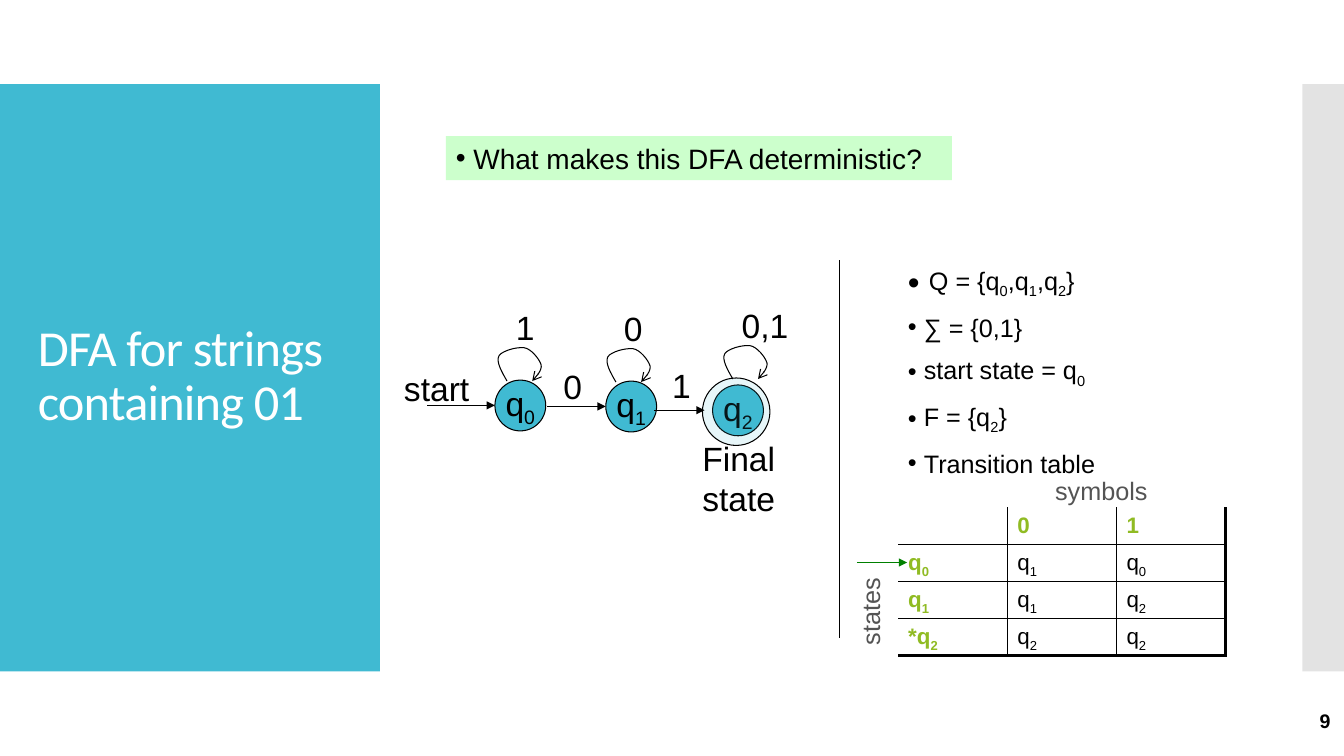
"""Builds a slide on a DFA that accepts strings containing 01."""
from lxml import etree
from pptx import Presentation
from pptx.dml.color import RGBColor
from pptx.enum import shapes, text
from pptx.oxml import ns
from pptx.util import Pt

BLACK = RGBColor(0, 0, 0)
WHITE = RGBColor(255, 255, 255)
TEAL = RGBColor(0x40, 0xBA, 0xD2)
SILVER = RGBColor(0xC8, 0xC8, 0xC8)
MINT = RGBColor(0xCC, 0xFF, 0xCC)
LIME = RGBColor(0x90, 0xBB, 0x23)
GRAY = RGBColor(0x54, 0x54, 0x54)
GREEN = RGBColor(0, 0x80, 0)

RECT = shapes.MSO_SHAPE.RECTANGLE
OVAL = shapes.MSO_SHAPE.OVAL
MID = text.MSO_ANCHOR.MIDDLE
CENTER = text.PP_ALIGN.CENTER
RIGHT = text.PP_ALIGN.RIGHT

LOOP = [(8, 24.5), (4.3, 18), (0, 10.8), (2.2, 6.5), (4.3, 2.9), (15.1, 0),
        (20.2, 0.7), (25.2, 1.4), (31, 8.6), (32.4, 13), (33, 16.6),
        (29.5, 21), (26, 24.5)]
STEPS = 8


def add(parent, tag, **attrs):
    """Append a drawing element to a parent."""
    return etree.SubElement(parent, ns.qn(tag), attrs)


def write(para, words, size, color=BLACK, bold=False, face="Arial"):
    """Write words in a paragraph; an underscore lowers the next character."""
    font = para.font
    font.name, font.size, font.bold = face, Pt(size), bold
    font.color.rgb = color
    head, *rest = words.split("_")
    if head:
        para.add_run().text = head
    for part in rest:
        low = para.add_run()
        low.text = part[0]
        low._r.get_or_add_rPr().set("baseline", "-25000")
        if part[1:]:
            para.add_run().text = part[1:]


def label(slide, box, words, size, color=BLACK, bold=False, wrap=False,
          align=None, anchor=None, face="Arial"):
    """Add a text box with one paragraph per line of words."""
    shape = slide.shapes.add_textbox(*map(Pt, box))
    frame = shape.text_frame
    frame.word_wrap = wrap
    frame.vertical_anchor = anchor
    for i, line in enumerate(words.split("\n")):
        para = frame.add_paragraph() if i else frame.paragraphs[0]
        para.alignment = align
        write(para, line, size, color, bold, face)
    return shape


def bullet(para, words, size, gap, scale=100):
    """Write a bulleted paragraph with a hanging indent."""
    props = para._p.get_or_add_pPr()
    props.set("marL", str(Pt(gap)))
    props.set("indent", str(-Pt(gap)))
    add(props, "a:buSzPct", val=str(scale * 1000))
    add(props, "a:buFont", typeface="Arial")
    add(props, "a:buChar", char="•")
    write(para, words, size)


def block(slide, kind, box, color, alpha=100, edge=False):
    """Add a filled shape, with a thin black edge if asked."""
    shape = slide.shapes.add_shape(kind, *map(Pt, box))
    shape.shadow.inherit = False
    shape.fill.solid()
    shape.fill.fore_color.rgb = color
    if alpha < 100:
        tint = shape.fill._xPr.find(".//" + ns.qn("a:srgbClr"))
        add(tint, "a:alpha", val=str(alpha * 1000))
    if edge:
        shape.line.color.rgb = BLACK
        shape.line.width = Pt(0.75)
    else:
        shape.line.fill.background()
    return shape


def state(slide, x, y, name):
    """Add a round state with its name."""
    frame = block(slide, OVAL, (x, y, 36.3, 36.3), TEAL, edge=True).text_frame
    frame.word_wrap = False
    frame.vertical_anchor = MID
    para = frame.paragraphs[0]
    para.alignment = CENTER
    write(para, name, 24)


def line(slide, ends, color=BLACK, arrow=True):
    """Add a straight line, by default with an arrowhead."""
    link = slide.shapes.add_connector(shapes.MSO_CONNECTOR.STRAIGHT,
                                      *map(Pt, ends))
    link.line.color.rgb = color
    link.line.width = Pt(0.75)
    if arrow:
        add(link.line._get_or_add_ln(), "a:tailEnd", type="triangle")
    add(link._element.spPr, "a:effectLst")


def loop(slide, x, y):
    """Add a curved arrow from a state back to itself."""
    dots = []
    for i in range(0, len(LOOP) - 1, 3):
        a, b, c, d = LOOP[i:i + 4]
        for step in range(1, STEPS + 1):
            t = step / STEPS
            s = 1 - t
            dots.append([Pt(o + s**3 * p + 3 * s * s * t * q
                            + 3 * s * t * t * r + t**3 * e)
                         for o, p, q, r, e in zip((x, y), a, b, c, d)])
    path = slide.shapes.build_freeform(Pt(x + LOOP[0][0]), Pt(y + LOOP[0][1]))
    path.add_line_segments(dots, close=False)
    curve = path.convert_to_shape()
    curve.shadow.inherit = False
    curve.fill.background()
    curve.line.color.rgb = BLACK
    curve.line.width = Pt(0.75)
    add(curve.line._get_or_add_ln(), "a:tailEnd", type="arrow")


def border(cell, side, width):
    """Draw one side of a cell, or leave it bare at zero width."""
    edge = add(cell._tc.get_or_add_tcPr(), "a:ln" + side, w=str(Pt(width)))
    if width:
        add(add(edge, "a:solidFill"), "a:srgbClr", val=str(BLACK))
    else:
        add(edge, "a:noFill")


def grid(slide, box, rows):
    """Add the transition table."""
    table = slide.shapes.add_table(len(rows), len(rows[0]),
                                   *map(Pt, box)).table
    table.first_row = table.horz_banding = False
    bottom, right = len(rows) - 1, len(rows[0]) - 1
    for i, row in enumerate(rows):
        for j, words in enumerate(row):
            cell = table.cell(i, j)
            cell.margin_top, cell.margin_bottom = Pt(4.6), 0
            border(cell, "L", 1 if j else 0)
            border(cell, "R", 2.25 if j == right else 1)
            border(cell, "T", 1 if i else 0)
            border(cell, "B", 2.25 if i == bottom else 1)
            cell.fill.background()
            key = i == 0 or j == 0
            write(cell.text_frame.paragraphs[0], words, 16,
                  LIME if key else BLACK, key)


def main():
    """Build and save the slide."""
    deck = Presentation()
    deck.slide_width, deck.slide_height = Pt(960), Pt(540)
    slide = deck.slides.add_slide(deck.slide_layouts[6])

    block(slide, RECT, (0, 60, 271.3, 419.5), TEAL)
    block(slide, RECT, (930.3, 60, 29.7, 419.5), SILVER, alpha=50)
    title = label(slide, (20, 88.5, 232, 362), "DFA for strings containing 01",
                  36, WHITE, wrap=True, anchor=MID, face="Calibri")
    para = title.text_frame.paragraphs[0]
    para.line_spacing = 0.9
    para.runs[0]._r.get_or_add_rPr().set("spc", "-60")
    label(slide, (837.5, 500.5, 120, 28.8), "9", 14, bold=True, wrap=True,
          align=RIGHT, anchor=MID)

    for x, y, name in [(353.5, 271.5, "q_0"), (432.7, 272.2, "q_1"),
                       (509, 275, "q_2")]:
        state(slide, x, y, name)
    block(slide, OVAL, (501.8, 270, 48.2, 48.2), TEAL, alpha=12, edge=True)
    for x, y in [(354.2, 247.7), (432, 248.4), (515.5, 246.2)]:
        loop(slide, x, y)
    for x, y, end in [(305.3, 289.6, 353.5), (391, 290.3, 432.7),
                      (467.3, 293, 503.3)]:
        line(slide, (x, y, end, y))
    for x, y, wide, words in [(281.5, 259.2, 61, "start"),
                              (395.3, 257.8, 28, "0"), (473, 257, 28, "1"),
                              (361.4, 215.6, 28, "1"), (438.5, 216.3, 28, "0"),
                              (522.7, 214.1, 47.5, "0,1")]:
        label(slide, (x, y, wide, 36), words, 24)
    label(slide, (494.6, 309.2, 67, 65.5), "Final\nstate", 24)

    ask = block(slide, RECT, (318.5, 97.2, 361.5, 31.5), MINT).text_frame
    ask.word_wrap = True
    ask.paragraphs[0].alignment = text.PP_ALIGN.LEFT
    bullet(ask.paragraphs[0], "What makes this DFA deterministic?", 20, 12.5)

    line(slide, (599.8, 185.8, 599.8, 455.8), arrow=False)
    facts = slide.shapes.add_textbox(Pt(641.5), Pt(186), Pt(252), Pt(160))
    frame = facts.text_frame
    frame.word_wrap = True
    bullet(frame.paragraphs[0], "Q = {q_0,q_1,q_2}", 18, 15, scale=133)
    for words in ["∑ = {0,1}", "start state = q_0", "F = {q_2}",
                  "Transition table"]:
        para = frame.add_paragraph()
        para.space_before = Pt(8.8)
        bullet(para, words, 18, 11.3)

    grid(slide, (641.5, 362.2, 234, 106),
         [("", "0", "1"), ("q_0", "q_1", "q_0"), ("q_1", "q_1", "q_2"),
          ("*q_2", "q_2", "q_2")])
    label(slide, (746.6, 336, 80.6, 29), "symbols", 18, GRAY)
    label(slide, (590.4, 422, 62.6, 29), "states", 18, GRAY).rotation = 270
    line(slide, (612, 401.8, 648, 401.8), GREEN)
    deck.save("out.pptx")


if __name__ == "__main__":
    main()
